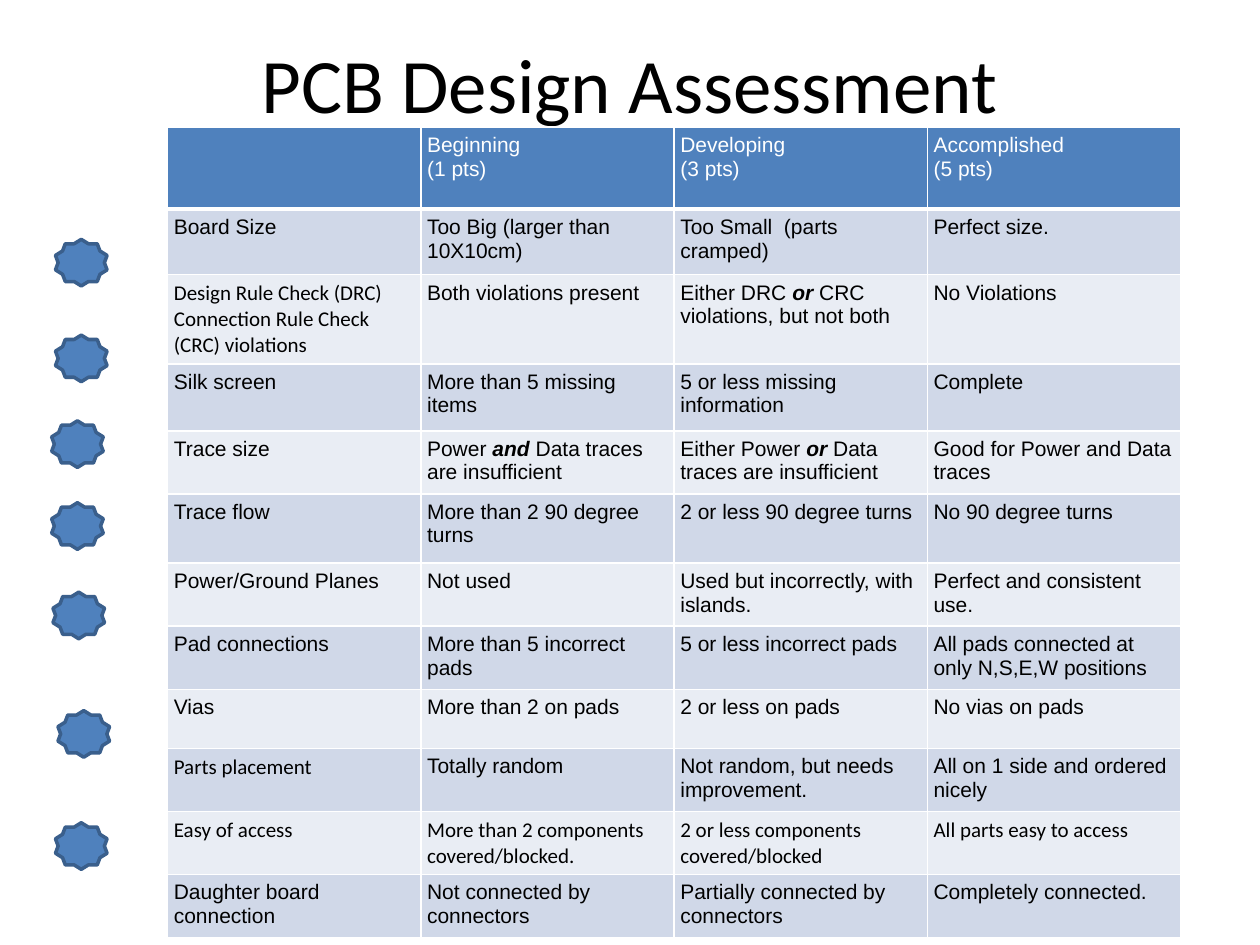
from lxml import etree
from pptx import Presentation
from pptx.dml.color import RGBColor
from pptx.enum.shapes import MSO_SHAPE
from pptx.enum.text import MSO_ANCHOR, PP_ALIGN
from pptx.oxml.ns import qn
from pptx.util import Inches, Pt

STAR = MSO_SHAPE.STAR_10_POINT
MIDDLE = MSO_ANCHOR.MIDDLE
CENTER = PP_ALIGN.CENTER

THEME = {
    "body": "Arial", "heading": "Calibri",
    "title_size": 44, "cell_size": 12,
    "text": "000000", "header_text": "FFFFFF", "border": "FFFFFF",
    "accent": "4F81BD", "star_line": "3A5F8C",
    "bands": ("D0D8E8", "E9EDF4"),
}

TITLE = "PCB Design Assessment"
RUBRIC = [
    (0.65, "", "Beginning\n(1 pts)", "Developing\n(3 pts)", "Accomplished\n(5 pts)"),
    (0.52, "Board Size", "Too Big (larger than 10X10cm)", "Too Small  (parts cramped)", "Perfect size."),
    (0.71, "Design Rule Check (DRC) Connection Rule Check (CRC) violations", "Both violations present",
     "Either DRC *or *CRC violations, but not both", "No Violations"),
    (0.53, "Silk screen", "More than 5 missing items", "5 or less missing information", "Complete"),
    (0.49, "Trace size", "Power *and* Data traces are insufficient",
     "Either Power *or* Data traces are insufficient", "Good for Power and Data traces"),
    (0.55, "Trace flow", "More than 2 90 degree turns", "2 or less 90 degree turns", "No 90 degree turns"),
    (0.47, "Power/Ground Planes", "Not used", "Used but incorrectly, with islands.",
     "Perfect and consistent use."),
    (0.47, "Pad connections", "More than 5 incorrect pads", "5 or less incorrect pads",
     "All pads connected at only N,S,E,W positions"),
    (0.47, "Vias", "More than 2 on pads", "2 or less on pads", "No vias on pads"),
    (0.47, "Parts placement", "Totally random", "Not random, but needs improvement.",
     "All on 1 side and ordered nicely"),
    (0.47, "Easy of access", "More than 2 components covered/blocked.",
     "2 or less components covered/blocked", "All parts easy to access"),
    (0.47, "Daughter board connection", "Not connected by connectors",
     "Partially connected by connectors", "Completely connected."),
]
HEADING_FONT_CELLS = {(2, 0), (9, 0), (10, 0), (10, 1), (10, 2), (10, 3)}
STARS = [(0.41, 3.34), (0.41, 3.99), (0.42, 4.7), (0.46, 5.64), (0.44, 6.53), (0.44, 2.66), (0.44, 1.9)]
STAR_SIZE = (0.41, 0.37)
TABLE_LEFT, TABLE_TOP, COLUMN_WIDTH = 1.33, 1.01, 2.01
CELL_MARGIN = 0.05


def color(name):
    return RGBColor.from_string(name)


def style_font(paragraph, name, size, text_color):
    paragraph.font.name = name
    paragraph.font.size = Pt(size)
    paragraph.font.color.rgb = color(text_color)


def add_title(slide):
    box = slide.shapes.add_textbox(Inches(0.5), Inches(0.3), Inches(9), Inches(0.72))
    frame = box.text_frame
    frame.word_wrap = True
    frame.vertical_anchor = MIDDLE
    paragraph = frame.paragraphs[0]
    paragraph.text = TITLE
    paragraph.alignment = CENTER
    style_font(paragraph, THEME["heading"], THEME["title_size"], THEME["text"])


def add_borders(cell, row):
    widths = {"L": 1, "R": 1, "T": 3 if row == 1 else 1, "B": 3 if row == 0 else 1}
    properties = cell._tc.get_or_add_tcPr()
    for side, width in widths.items():
        line = etree.SubElement(properties, qn(f"a:ln{side}"), w=str(Pt(width)))
        fill = etree.SubElement(line, qn("a:solidFill"))
        etree.SubElement(fill, qn("a:srgbClr"), val=THEME["border"])


def write_cell(cell, text, row, column):
    add_borders(cell, row)
    cell.fill.solid()
    cell.fill.fore_color.rgb = color(THEME["bands"][(row - 1) % 2] if row else THEME["accent"])
    cell.margin_left = cell.margin_right = Inches(CELL_MARGIN)
    cell.margin_top = cell.margin_bottom = Inches(CELL_MARGIN)
    paragraph = cell.text_frame.paragraphs[0]
    if "*" in text:
        for index, part in enumerate(text.split("*")):
            run = paragraph.add_run()
            run.text = part
            if index % 2:
                run.font.bold = run.font.italic = True
    else:
        paragraph.text = text
    font_name = THEME["heading" if (row, column) in HEADING_FONT_CELLS else "body"]
    style_font(paragraph, font_name, THEME["cell_size"], THEME["text" if row else "header_text"])


def add_rubric(slide):
    columns = len(RUBRIC[0]) - 1
    height = sum(row[0] for row in RUBRIC)
    table = slide.shapes.add_table(
        len(RUBRIC), columns, Inches(TABLE_LEFT), Inches(TABLE_TOP),
        Inches(COLUMN_WIDTH * columns), Inches(height)).table
    table.first_row = table.horz_banding = False
    for column in table.columns:
        column.width = Inches(COLUMN_WIDTH)
    for row, (row_height, *texts) in enumerate(RUBRIC):
        table.rows[row].height = Inches(row_height)
        for column, text in enumerate(texts):
            write_cell(table.cell(row, column), text, row, column)


def add_star(slide, left, top):
    shape = slide.shapes.add_shape(STAR, *(Inches(value) for value in (left, top, *STAR_SIZE)))
    shape.shadow.inherit = False
    shape.fill.solid()
    shape.fill.fore_color.rgb = color(THEME["accent"])
    shape.line.color.rgb = color(THEME["star_line"])
    shape.line.width = Pt(2)


def main():
    presentation = Presentation()
    presentation.slide_width, presentation.slide_height = Inches(10), Inches(7.5)
    slide = presentation.slides.add_slide(presentation.slide_layouts[6])
    add_title(slide)
    add_rubric(slide)
    for left, top in STARS:
        add_star(slide, left, top)
    presentation.save("out.pptx")


if __name__ == "__main__":
    main()
